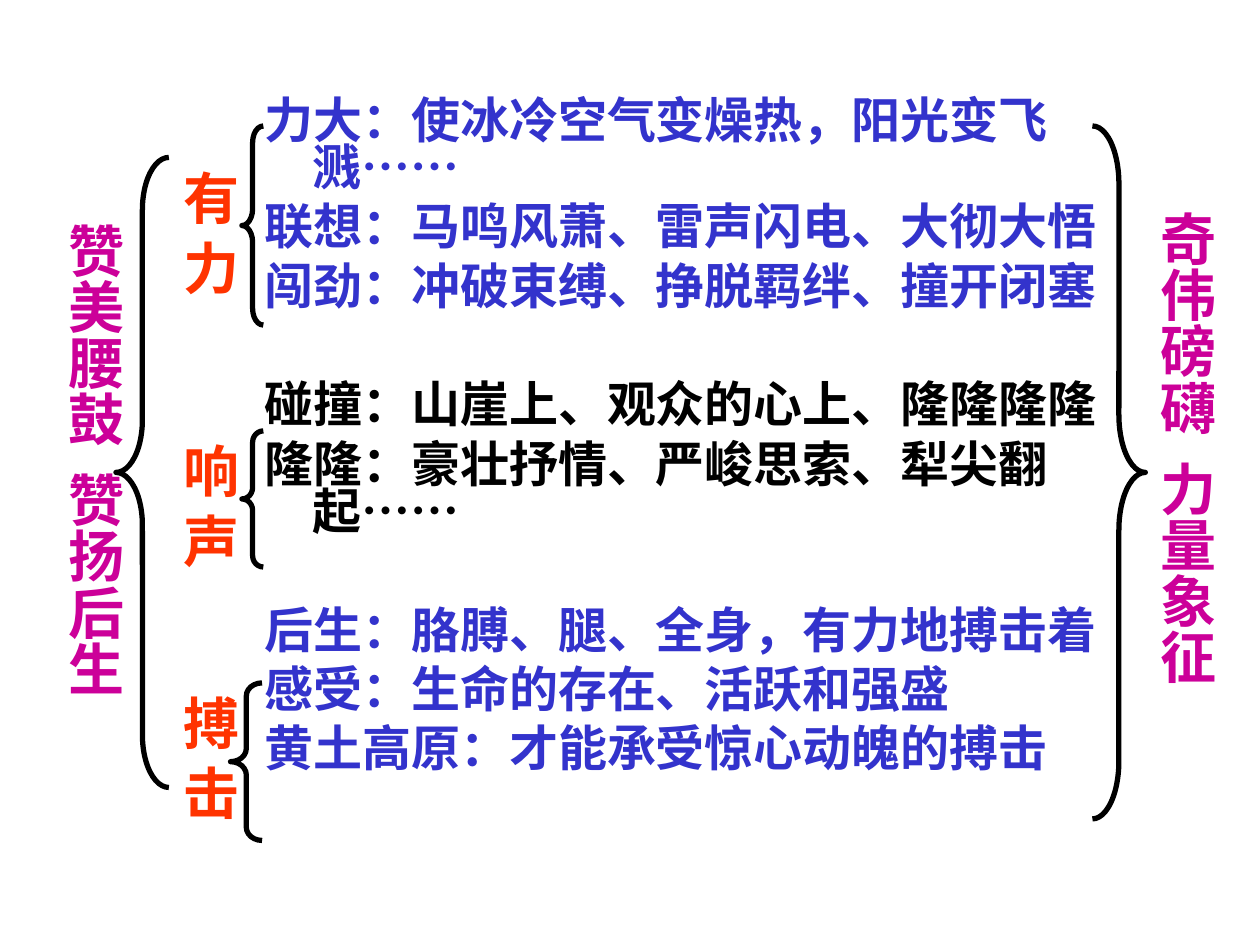
from lxml.etree import SubElement
from pptx import Presentation
from pptx.dml.color import RGBColor
from pptx.enum.shapes import MSO_SHAPE as Shape
from pptx.enum.text import MSO_AUTO_SIZE as AutoSize
from pptx.oxml.ns import qn
from pptx.util import Inches, Pt

CJK_FONT = "Noto Sans CJK SC"
BLUE, BLACK, ORANGE, MAGENTA = "3333CC", "000000", "FF3300", "CC0099"

NOTE_GROUPS = [
    (BLUE, ["力大：使冰冷空气变燥热，阳光变飞溅……",
            "联想：马鸣风萧、雷声闪电、大彻大悟",
            "闯劲：冲破束缚、挣脱羁绊、撞开闭塞"]),
    (BLACK, ["碰撞：山崖上、观众的心上、隆隆隆隆",
             "隆隆：豪壮抒情、严峻思索、犁尖翻起……"]),
    (BLUE, ["后生：胳膊、腿、全身，有力地搏击着",
            "感受：生命的存在、活跃和强盛",
            "黄土高原：才能承受惊心动魄的搏击"]),
]
# Text, top of its label, then the brace as left, top, width, height
ASPECTS = [
    ("有 力", 1.25, (1.92, 1, 0.17, 1.58)),
    ("响 声", 3.42, (1.92, 3.42, 0.17, 1.08)),
    ("搏 击", 5.42, (1.83, 5.42, 0.25, 1.25)),
]


def rgb(color):
    return RGBColor.from_string(color)


def style_run(span, size, color, latin_font):
    span.font.size = Pt(size)
    span.font.bold = True
    span.font.name = latin_font
    span.font.color.rgb = rgb(color)
    SubElement(span.font._element, qn("a:ea"), typeface=CJK_FONT)


def place(shape, left, top, width, height):
    shape.left, shape.top = Inches(left), Inches(top)
    shape.width, shape.height = Inches(width), Inches(height)


def fill_notes(body):
    place(body, 2, 0.75, 6.92, 6)
    frame = body.text_frame
    frame.auto_size = AutoSize.NONE
    frame.text = "\n".join(line for _, lines in NOTE_GROUPS for line in lines)
    paragraphs = iter(frame.paragraphs)
    for group, (color, lines) in enumerate(NOTE_GROUPS):
        for row in range(len(lines)):
            para = next(paragraphs)
            properties = para._p.get_or_add_pPr()
            properties.set("marL", str(Inches(0.38)))
            properties.set("indent", str(Inches(-0.38)))
            SubElement(properties, qn("a:buNone"))
            para.line_spacing = 0.8
            # The first line of a later group stands one line lower
            if group and row == 0:
                para.space_before = Pt(41)
            else:
                para.space_before = Pt(7 if row else 0)
            style_run(para.runs[0], 28, color, "Times New Roman")


def add_vertical_label(slide, parts, left, top, height, color):
    box = slide.shapes.add_textbox(
        Inches(left), Inches(top), Inches(0.73), Inches(height))
    frame = box.text_frame
    frame.word_wrap = True
    frame.margin_left = frame.margin_right = Inches(0.05)
    frame.margin_top = frame.margin_bottom = Inches(0.1)
    frame._txBody.bodyPr.set("vert", "eaVert")
    para = frame.paragraphs[0]
    for index, part in enumerate(parts):
        if index:
            # A widened space separates the two phrases
            gap = para.add_run()
            gap.text = " "
            style_run(gap, 32, color, CJK_FONT)
            gap.font._element.set("spc", "720")
        span = para.add_run()
        span.text = part
        style_run(span, 32, color, CJK_FONT)


def add_brace(slide, kind, left, top, width, height):
    brace = slide.shapes.add_shape(
        kind, Inches(left), Inches(top), Inches(width), Inches(height))
    brace.shadow.inherit = False
    brace.fill.background()
    brace.line.color.rgb = rgb(BLACK)
    brace.line.width = Pt(3)
    # Each curve takes one twelfth of the height
    brace.adjustments[0] = height / 12 / width


def main():
    deck = Presentation()
    deck.slide_width, deck.slide_height = Inches(10), Inches(7.5)
    slide = deck.slides.add_slide(deck.slide_layouts[1])
    title = slide.shapes.title
    title._element.getparent().remove(title._element)

    # Notes in the middle
    fill_notes(slide.placeholders[1])

    # Aspects and their braces
    for text, top, brace in ASPECTS:
        add_brace(slide, Shape.LEFT_BRACE, *brace)
        add_vertical_label(slide, [text], 1.25, top, 1.42, ORANGE)

    # Theme on the left, conclusion on the right
    add_brace(slide, Shape.LEFT_BRACE, 0.92, 1.25, 0.42, 5)
    add_vertical_label(slide, ["赞美腰鼓", "赞扬后生"], 0.34, 1.67, 4.92, MAGENTA)
    add_brace(slide, Shape.RIGHT_BRACE, 8.67, 1, 0.42, 5.5)
    add_vertical_label(slide, ["奇伟磅礴", "力量象征"], 9, 1.58, 4.5, MAGENTA)

    deck.save("out.pptx")


if __name__ == "__main__":
    main()
